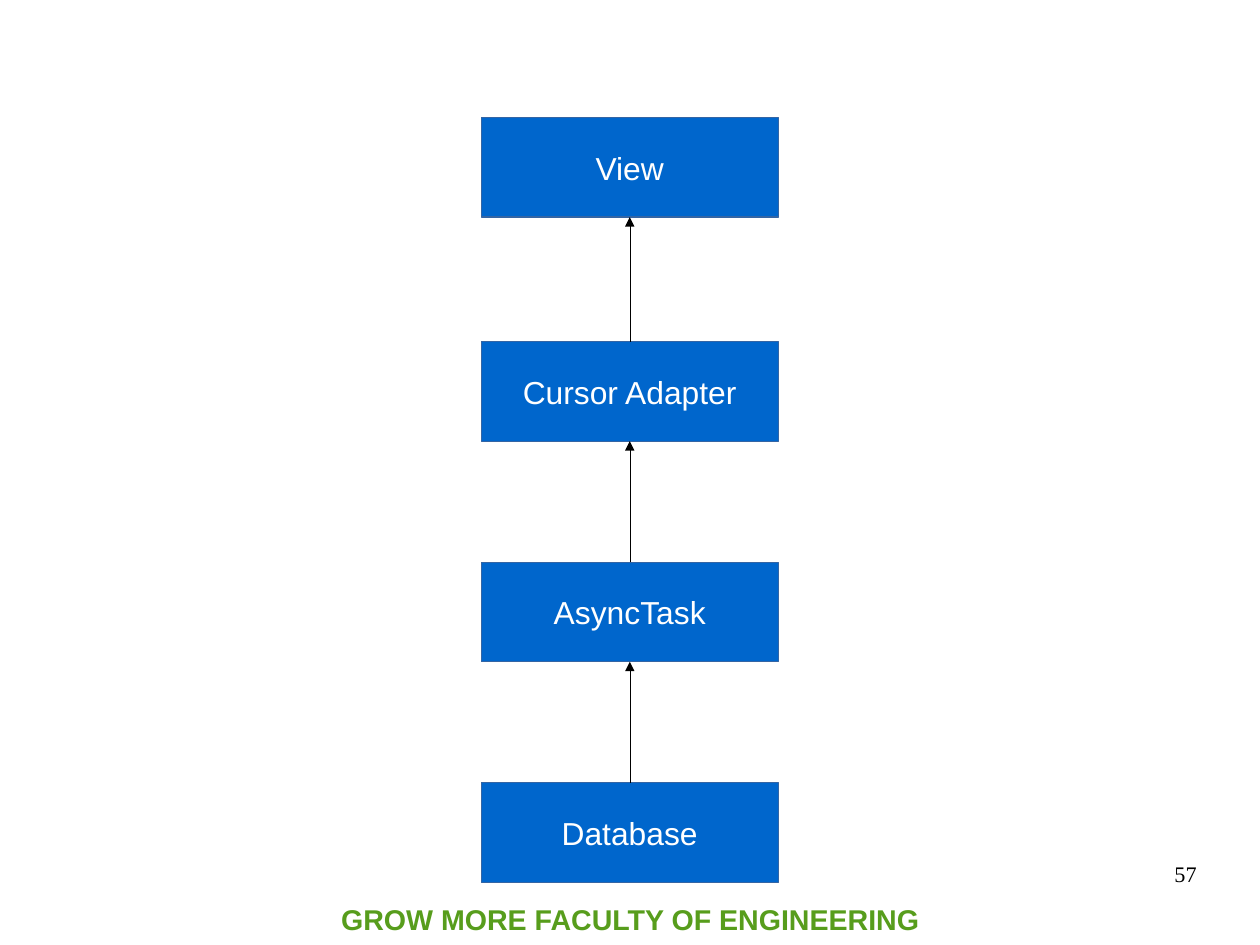
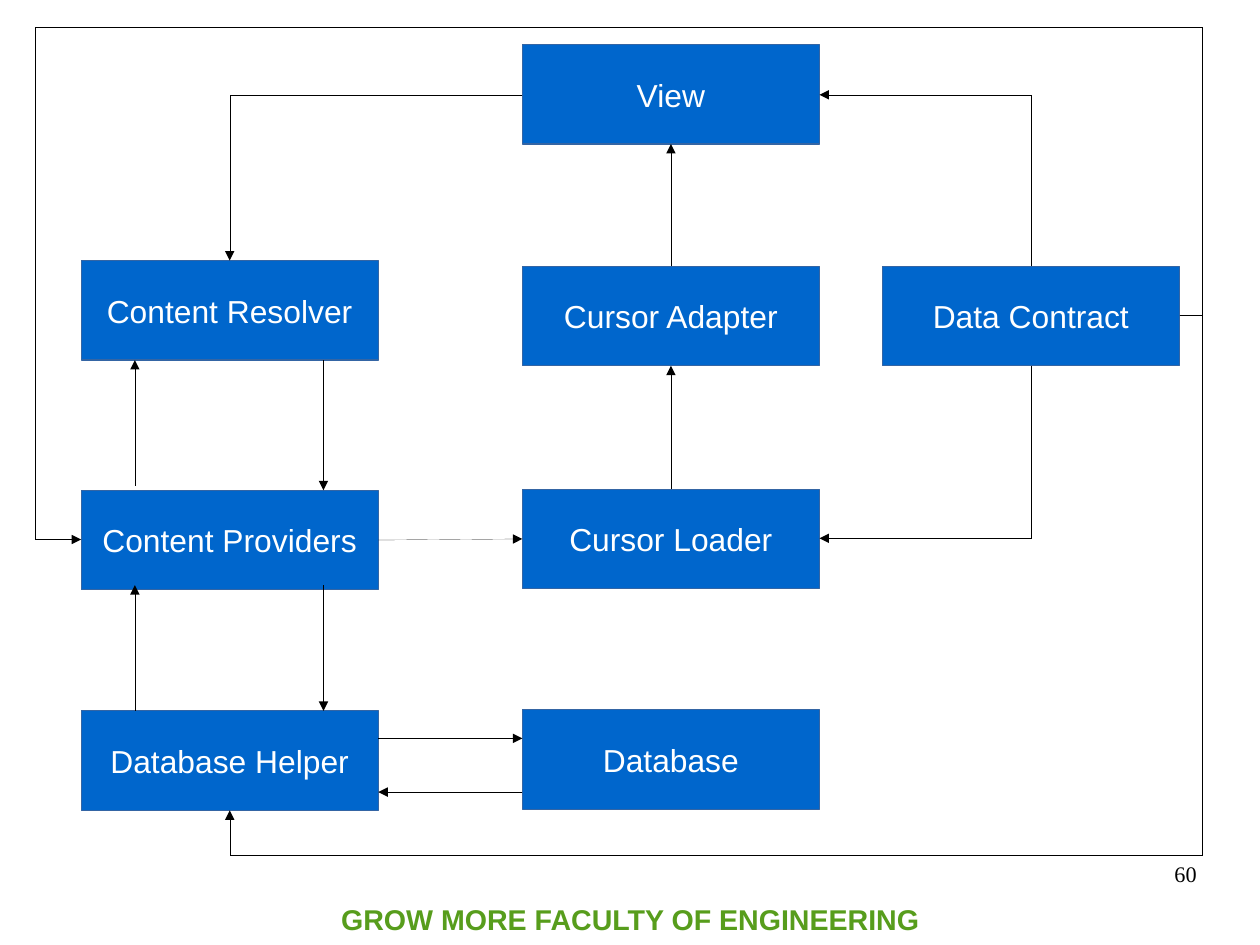
from lxml.etree import SubElement
from pptx import Presentation
from pptx.dml.color import RGBColor
from pptx.enum.shapes import MSO_CONNECTOR, MSO_SHAPE
from pptx.enum.text import MSO_ANCHOR, PP_ALIGN
from pptx.oxml.ns import qn
from pptx.util import Inches, Pt

THEME = {
    "fill": RGBColor(0x00, 0x66, 0xCC),
    "edge": RGBColor(0x34, 0x65, 0xA4),
    "arrow": RGBColor(0, 0, 0),
    "hair": Pt(0),
    "label": {"name": "Arial", "size": Pt(20), "bold": False,
              "color": RGBColor(255, 255, 255)},
    "footer": {"name": "Arial", "size": Pt(18), "bold": True,
               "color": RGBColor(0x57, 0x9D, 0x1C)},
    "page": {"name": "Times New Roman", "size": Pt(14), "bold": False,
             "color": RGBColor(0, 0, 0)},
}
WIDE, HIGH = 2.6, 0.87
TOP, LEFT, BOTTOM, RIGHT = range(4)  # connection sites of a rectangle

# boxes: name -> left, top; links: box, site, box, site;
# paths: the corner points of arrows that are not glued to a site
SLIDES = [
    {
        "page": "57",
        "boxes": {
            "View": (4.21, 1.03),
            "Database": (4.21, 6.85),
            "Cursor Adapter": (4.21, 2.99),
            "AsyncTask": (4.21, 4.92),
        },
        "links": [
            ("Cursor Adapter", TOP, "View", BOTTOM),
            ("AsyncTask", TOP, "Cursor Adapter", BOTTOM),
            ("Database", TOP, "AsyncTask", BOTTOM),
        ],
        "paths": [],
    },
    {
        "page": "60",
        "boxes": {
            "View": (4.57, 0.39),
            "Database": (4.57, 6.21),
            "Cursor Loader": (4.57, 4.28),
            "Cursor Adapter": (4.57, 2.33),
            "Content Providers": (0.71, 4.29),
            "Database Helper": (0.71, 6.22),
            "Data Contract": (7.72, 2.33),
            "Content Resolver": (0.71, 2.28),
        },
        "links": [
            ("Content Providers", RIGHT, "Cursor Loader", LEFT),
            ("Cursor Loader", TOP, "Cursor Adapter", BOTTOM),
            ("Cursor Adapter", TOP, "View", BOTTOM),
        ],
        "paths": [
            [(3.31, 6.46), (4.57, 6.46)],
            [(4.57, 6.93), (3.31, 6.93)],
            [(1.18, 6.22), (1.18, 5.12)],
            [(2.83, 5.12), (2.83, 6.22)],
            [(4.57, 0.83), (2.01, 0.83), (2.01, 2.28)],
            [(9.02, 3.2), (9.02, 4.71), (7.17, 4.71)],
            [(9.02, 2.33), (9.02, 0.83), (7.17, 0.83)],
            [(10.32, 2.76), (10.52, 2.76), (10.52, 7.48), (2.01, 7.48),
             (2.01, 7.09)],
            [(10.32, 2.76), (10.52, 2.76), (10.52, 0.24), (0.31, 0.24),
             (0.31, 4.72), (0.71, 4.72)],
            [(1.18, 4.25), (1.18, 3.15)],
            [(2.83, 3.15), (2.83, 4.29)],
        ],
    },
]


def write(shape, text, style, align, anchor):
    frame = shape.text_frame
    frame.vertical_anchor = anchor
    para = frame.paragraphs[0]
    para.alignment = align
    run = para.add_run()
    run.text = text
    for key, value in THEME[style].items():
        if key == "color":
            run.font.color.rgb = value
        else:
            setattr(run.font, key, value)
    return frame


def point(line):
    """Give a line a plain hairline stroke and an arrowhead at its end."""
    line.line.color.rgb = THEME["arrow"]
    line.line.width = THEME["hair"]
    props = line.element.spPr
    SubElement(props.find(qn("a:ln")), qn("a:tailEnd"), type="triangle")
    SubElement(props, qn("a:effectLst"))
    # The style's theme width would override a hairline.
    line.element.remove(line.element.find(qn("p:style")))


deck = Presentation()
# The page is 28 by 21 centimetres.
deck.slide_width = Inches(round(28 / 2.54, 6))
deck.slide_height = Inches(round(21 / 2.54, 6))
layout = deck.slide_layouts[6]
slides = [deck.slides.add_slide(layout) for _ in SLIDES]

# The footer is built once and moved to the shared layout.
footer = slides[0].shapes.add_textbox(
    Inches(2.39), Inches(7.83), Inches(6.25), Inches(0.43))
frame = write(footer, "GROW MORE FACULTY OF ENGINEERING", "footer",
              PP_ALIGN.CENTER, MSO_ANCHOR.MIDDLE)
frame.word_wrap = True
footer.element.nvSpPr.cNvPr.id = 20
layout.shapes.element.append(footer.element)

for slide, data in zip(slides, SLIDES):
    shapes = slide.shapes
    boxes = {}
    for name, (left, top) in data["boxes"].items():
        box = shapes.add_shape(MSO_SHAPE.RECTANGLE, Inches(left), Inches(top),
                               Inches(WIDE), Inches(HIGH))
        box.shadow.inherit = False
        box.fill.solid()
        box.fill.fore_color.rgb = THEME["fill"]
        box.line.color.rgb = THEME["edge"]
        box.line.width = THEME["hair"]
        frame = write(box, name, "label", PP_ALIGN.CENTER, MSO_ANCHOR.MIDDLE)
        frame.word_wrap = False
        boxes[name] = box

    for start, out, end, into in data["links"]:
        line = shapes.add_connector(MSO_CONNECTOR.STRAIGHT, 0, 0, 0, 0)
        line.begin_connect(boxes[start], out)
        line.end_connect(boxes[end], into)
        point(line)

    for corners in data["paths"]:
        first, *rest = [(Inches(x), Inches(y)) for x, y in corners]
        if len(rest) == 1:
            line = shapes.add_connector(
                MSO_CONNECTOR.STRAIGHT, *first, *rest[0])
        else:
            route = shapes.build_freeform(*first)
            route.add_line_segments(rest, close=False)
            line = route.convert_to_shape()
            line.fill.background()
        point(line)

    page = shapes.add_textbox(
        Inches(7.9), Inches(7.53), Inches(2.57), Inches(0.57))
    frame = write(page, data["page"], "page", PP_ALIGN.RIGHT, MSO_ANCHOR.TOP)
    frame.word_wrap = True
    for side in ("left", "top", "right", "bottom"):
        setattr(frame, f"margin_{side}", 0)

deck.save("out.pptx")
